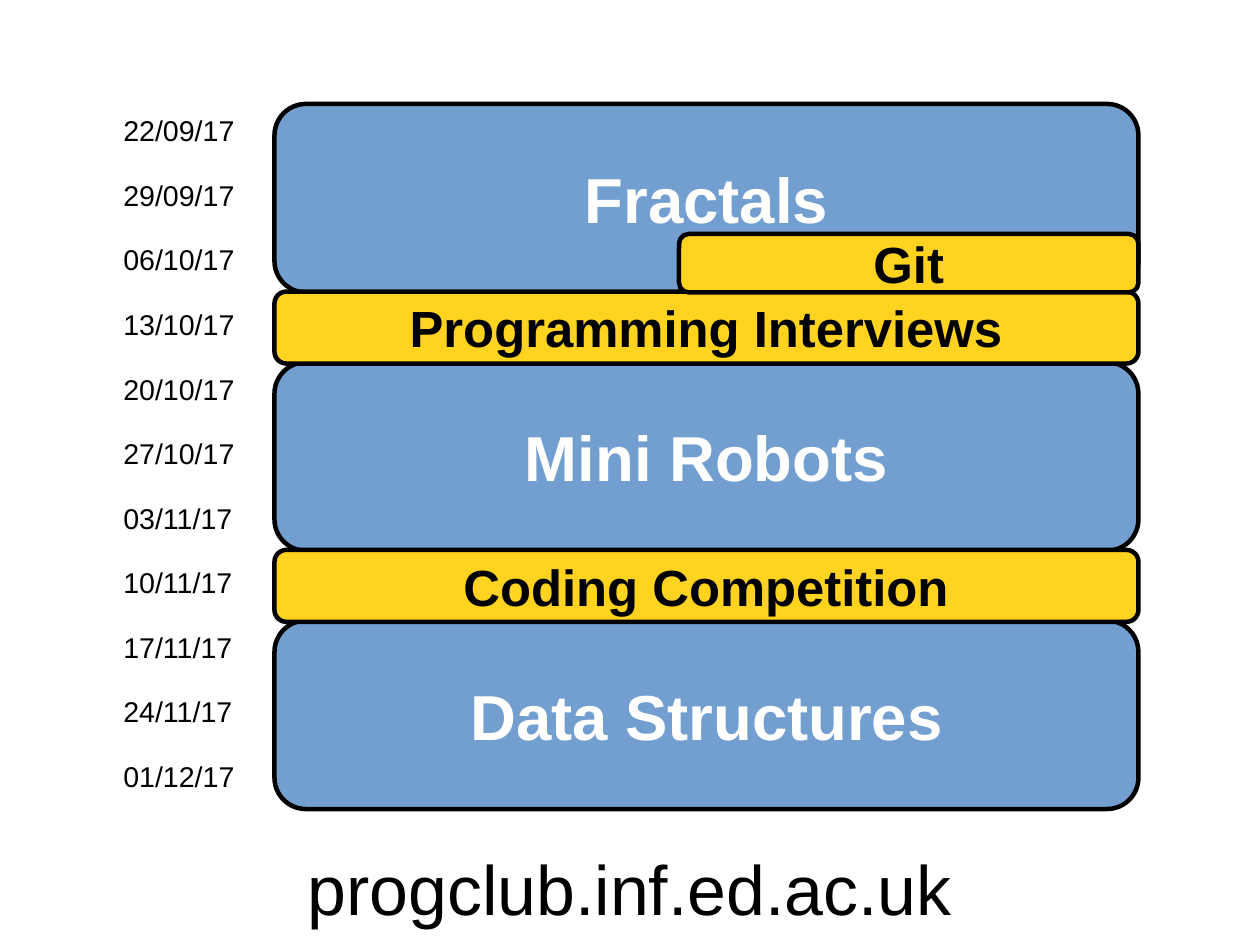
from pptx import Presentation
from pptx.dml.color import RGBColor
from pptx.enum.shapes import MSO_SHAPE
from pptx.enum.text import MSO_ANCHOR, PP_ALIGN
from pptx.util import Cm, Pt

ROUNDED = MSO_SHAPE.ROUNDED_RECTANGLE
MIDDLE = MSO_ANCHOR.MIDDLE
LEFT, CENTER = PP_ALIGN.LEFT, PP_ALIGN.CENTER

COLOURS = {"blue": "729FCF", "yellow": "FFD320", "black": "000000", "white": "FFFFFF"}
PROJECT = {"fill": "blue", "colour": "white", "font": {"size": Pt(40), "bold": True}}
EVENT = {"fill": "yellow", "colour": "black", "font": {"size": Pt(32), "bold": True}}
DATE_FONT = {"size": Pt(18)}
ADDRESS_FONT = {"size": Pt(44)}

DATES = ["22/09/17", "29/09/17", "06/10/17", "13/10/17", "20/10/17", "27/10/17",
         "03/11/17", "10/11/17", "17/11/17", "24/11/17", "01/12/17"]
PROJECTS = ["Fractals", "Mini Robots", "Data Structures"]
EVENTS = ["Programming Interviews", "Coding Competition"]

# A project and the event after it fill four weeks.
CYCLE = Cm(5.74)
WEEK = CYCLE / 4
PROJECT_HEIGHT = Cm(4.19)
EVENT_OFFSET, EVENT_HEIGHT = Cm(4.17), Cm(1.6)
GIT_WIDTH, GIT_HEIGHT = Cm(10.21), Cm(1.3)


def rgb(name):
    return RGBColor.from_string(COLOURS[name])


def write(shape, text, colour, font, align):
    paragraph = shape.text_frame.paragraphs[0]
    paragraph.text = text
    paragraph.alignment = align
    for attribute, value in {"name": "Arial", **font}.items():
        setattr(paragraph.font, attribute, value)
    paragraph.font.color.rgb = rgb(colour)


def add_label(slide, box, text, font, align, wrap):
    label = slide.shapes.add_textbox(*box)
    label.text_frame.word_wrap = wrap
    write(label, text, "black", font, align)


def add_block(slide, box, text, style):
    block = slide.shapes.add_shape(ROUNDED, *box)
    block.shadow.inherit = False
    block.fill.solid()
    block.fill.fore_color.rgb = rgb(style["fill"])
    block.line.color.rgb = rgb("black")
    block.line.width = Pt(2.83)
    block.text_frame.vertical_anchor = MIDDLE
    write(block, text, style["colour"], style["font"], CENTER)


def add_dates(slide, left, top, width, height):
    for week, date in enumerate(DATES):
        box = (left, int(top + week * WEEK), width, height)
        add_label(slide, box, date, DATE_FONT, LEFT, True)


def add_programme(slide, left, top, width):
    for cycle, project in enumerate(PROJECTS):
        box = (left, top + cycle * CYCLE, width, PROJECT_HEIGHT)
        add_block(slide, box, project, PROJECT)
    for cycle, event in enumerate(EVENTS):
        box = (left, top + cycle * CYCLE + EVENT_OFFSET, width, EVENT_HEIGHT)
        add_block(slide, box, event, EVENT)
    git_box = (left + width - GIT_WIDTH, top + PROJECT_HEIGHT - GIT_HEIGHT,
               GIT_WIDTH, GIT_HEIGHT)
    add_block(slide, git_box, "Git", EVENT)


def main():
    deck = Presentation()
    deck.slide_width, deck.slide_height = Cm(28), Cm(21)
    slide = deck.slides.add_slide(deck.slide_layouts[6])
    add_label(slide, (Cm(6.58), Cm(18.67), Cm(14.84), Cm(1.98)),
              "progclub.inf.ed.ac.uk", ADDRESS_FONT, CENTER, False)
    add_dates(slide, Cm(2.49), Cm(2.39), Cm(3.05), Cm(0.97))
    add_programme(slide, Cm(6.1), Cm(2.31), Cm(19.2))
    deck.save("out.pptx")


if __name__ == "__main__":
    main()
